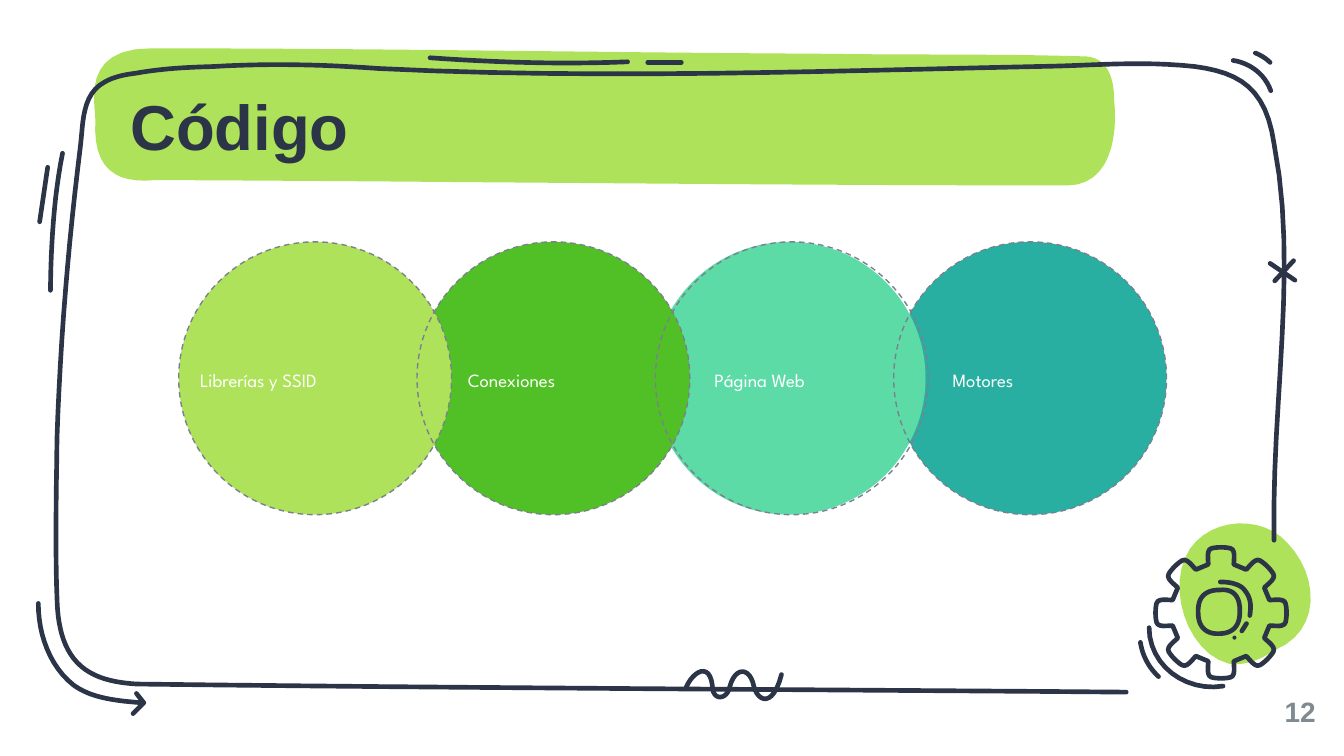
"""Build the "Código" slide: a hand-drawn frame, a gear and four linked circles."""
import math

from pptx import Presentation
from pptx import util as u
from pptx.dml.color import RGBColor
from pptx.enum import dml, shapes, text
from pptx.oxml.ns import qn

LIME = RGBColor(0xAE, 0xE2, 0x5A)
GREEN = RGBColor(0x51, 0xC0, 0x26)
MINT = RGBColor(0x5D, 0xDB, 0xA7)
TEAL = RGBColor(0x29, 0xAF, 0xA2)
INK = RGBColor(0x2B, 0x35, 0x47)
SLATE = RGBColor(0x7C, 0x7F, 0x91)
GREY = RGBColor(0x7F, 0x8B, 0x91)
WHITE = RGBColor(0xFF, 0xFF, 0xFF)

WIDTH = u.Inches(10)
HEIGHT = u.Emu(WIDTH * 9 // 16)
COLUMNS = 1000
CELL = WIDTH / COLUMNS
PAGE = (0, 0, COLUMNS, HEIGHT / CELL)
TITLE_BAR = (70, 36, 759, 102)
BLOB = (874, 389, 100, 102)
GEAR = (847, 406, 112, 107)
CHAIN = (133, 180, 735, 203)
NUMBER = (919, 513, 60, 33)

CIRCLES = [
    ("Librerías y SSID", LIME, 0, 6),
    ("Conexiones", GREEN, 0, 28),
    ("Página Web", MINT, -2, 34),
    ("Motores", TEAL, 0, 34),
]


def emu(*cells):
    """Turn grid cells into whole EMU lengths."""
    return [u.Emu(round(c * CELL)) for c in cells]


def bezier(*pts, steps=12):
    """Return points along a chain of cubic curves."""
    out = [pts[0]]
    for i in range(0, len(pts) - 1, 3):
        for n in range(1, steps + 1):
            t = n / steps
            weights = ((1 - t) ** 3, 3 * t * (1 - t) ** 2, 3 * t * t * (1 - t), t ** 3)
            out.append(tuple(sum(k * p[a] for k, p in zip(weights, pts[i:i + 4]))
                             for a in (0, 1)))
    return out


def outline(s, box, pts, close):
    """Add a freeform whose points are cells from the box's corner."""
    placed = [emu(box[0] + x, box[1] + y) for x, y in pts]
    fb = s.shapes.build_freeform(*placed[0])
    fb.add_line_segments(placed[1:], close=close)
    sp = fb.convert_to_shape()
    sp.shadow.inherit = False
    return sp


def blob(s, box, pts):
    """Add a filled lime outline."""
    sp = outline(s, box, pts, True)
    sp.fill.solid()
    sp.fill.fore_color.rgb = LIME
    sp.line.fill.background()
    return sp


def stroke(s, box, pts, close=False):
    """Draw a round-ended ink stroke, as a connector when it is straight."""
    if len(pts) == 2:
        ends = [c for x, y in pts for c in emu(box[0] + x, box[1] + y)]
        sp = s.shapes.add_connector(shapes.MSO_CONNECTOR.STRAIGHT, *ends)
        sp._element.spPr.append(sp._element.makeelement(qn("a:effectLst"), {}))
    else:
        sp = outline(s, box, pts, close)
        sp.fill.background()
    sp.line.color.rgb = INK
    sp.line.width = u.Pt(2.5)
    ln = sp.line._get_or_add_ln()
    ln.set("cap", "rnd")
    ln.append(ln.makeelement(qn("a:round"), {}))


def write(sp, words, font, size, color, bold=False, align=text.PP_ALIGN.LEFT,
          spacing=1.0, margin=0):
    """Fill a shape's text frame with one formatted paragraph."""
    tf = sp.text_frame
    tf.text = words
    tf.word_wrap = True
    tf.auto_size = text.MSO_AUTO_SIZE.NONE
    tf.vertical_anchor = text.MSO_ANCHOR.MIDDLE
    tf.margin_left = tf.margin_right = tf.margin_top = tf.margin_bottom = u.Inches(margin)
    p = tf.paragraphs[0]
    p.alignment = align
    p.line_spacing = spacing
    f = p.runs[0].font
    f.name, f.size, f.bold = font, u.Pt(size), bold
    f.color.rgb = color


def draw_backdrop(s, blob_box, bar_box):
    """Draw the lime blob and the lime bar."""
    blob(s, blob_box, bezier(
        (92, 24), (80, 0), (43, -9), (21, 10), (-4, 32), (-1, 84), (27, 100),
        (39, 105), (51, 103), (63, 99), (100, 94), (109, 54), (92, 24))).rotation = 345.3
    blob(s, bar_box, bezier(
        (759, 38), (759, 22), (754, 7), (738, 6), (671, 4), (605, 5), (538, 4),
        (365, 3), (215, 0), (42, 0), (-10, 0), (1, 41), (1, 53),
        (-1, 89), (15, 101), (46, 98), (270, 99), (500, 102), (724, 102),
        (756, 102), (762, 66), (759, 38)))


def draw_frame(s, box):
    """Draw the sketched frame and the marks around it."""
    curves = [
        [(948, 402), (946, 299), (966, 199), (948, 107), (942, 66), (923, 54), (889, 49.5),
         (848, 45), (812, 49), (772, 49.5), (609, 53), (445, 59), (282, 51),
         (241, 48), (200, 47), (159, 49.5), (140, 50), (120, 51), (101, 54.5),
         (93, 55.5), (85, 57), (78, 61), (61, 70), (62, 91), (60, 108),
         (51, 180), (45, 252), (42.5, 325), (42, 365), (41, 405), (42.5, 446),
         (43, 463), (46, 481), (57.5, 493), (69, 505), (86, 508), (102, 509),
         (347, 512), (593, 513), (838, 515)],
        [(46.5, 114), (40, 147), (38, 181), (37.5, 216)],
        [(320, 43), (369, 46.5), (418, 48), (467, 46)],
        [(917.5, 45), (930, 47), (941, 55), (945.5, 67.5)],
        [(934, 39.5), (938, 41), (942, 43.5), (945, 46.5)],
        [(28.5, 449), (28.5, 472), (37, 496), (55, 510), (69, 520), (88, 521.5), (106, 523)],
        [(510.5, 511.5), (516, 499), (528, 493), (530, 510), (530, 522), (541, 521),
         (543, 511), (547, 496), (558, 496), (561, 511), (564, 522), (575, 527), (581.5, 502)],
    ]
    lines = [
        [(35.5, 124.5), (29.5, 165)],
        [(482, 46.5), (507, 46.5)],
        [(101.5, 516), (107, 523), (99, 531)],
        [(945, 196), (963.5, 208.5)],
        [(962.5, 194), (948.5, 209)],
    ]
    for pts in [bezier(*c) for c in curves] + lines:
        stroke(s, box, pts)


def draw_gear(s, box, teeth=8):
    """Draw a gear with evenly turned teeth, its hub and its motion marks."""
    cx, cy = 61.5, 50
    tooth = bezier((36, -9.5), (40, -9.5), (47, -11), (48, -7), (49, -3), (49, 3), (48, 7),
                   (47, 11), (40, 9.5), (36, 9.5), steps=6)
    rim = []
    for k in range(teeth):
        c, d = math.cos(math.tau * k / teeth), math.sin(math.tau * k / teeth)
        rim += [(cx + r * c - t * d, cy + r * d + t * c) for r, t in tooth]
    stroke(s, box, rim, True)
    stroke(s, box, bezier(
        (60.5, 33), (70, 32), (75.5, 37), (75.5, 48), (76, 60), (70, 65.5), (60, 65.5),
        (49, 66), (44.5, 59), (44.5, 50), (44, 38), (50, 33), (60.5, 33)), True)
    for marks in (
        [(61, 27), (69, 27), (76, 29), (79, 33), (84, 39), (84, 45), (83, 52)],
        [(8, 61), (8, 89), (35, 109), (63, 104.5)],
        [(1.5, 72), (3, 82), (8, 91), (15, 97.5)],
    ):
        stroke(s, box, bezier(*marks))
    stroke(s, box, [(80.5, 58), (77, 63.5)])
    dot = add_circle(s, box[0] + 70, box[1] + 67, 3)
    dot.fill.solid()
    dot.fill.fore_color.rgb = INK
    dot.line.fill.background()


def add_circle(s, x, y, size):
    """Add a circle without a shadow."""
    sp = s.shapes.add_shape(shapes.MSO_SHAPE.OVAL, *emu(x, y, size, size))
    sp.shadow.inherit = False
    return sp


def draw_chain(s, box):
    """Draw overlapping labelled circles, the first on top, with dashed rims."""
    x, y, w, size = box
    step = (w - size) / (len(CIRCLES) - 1)
    places = [(x + i * step, *c) for i, c in enumerate(CIRCLES)][::-1]
    for left, words, color, shift, indent in places:
        sp = add_circle(s, left + shift, y, size)
        sp.fill.solid()
        sp.fill.fore_color.rgb = color
        sp.line.fill.background()
        label = s.shapes.add_textbox(*emu(left + indent, y + 73, 141, 57))
        write(label, words, "League Spartan", 10, WHITE, spacing=1.15, margin=0.1)
    for left, *_ in places:
        sp = add_circle(s, left, y, size)
        sp.fill.background()
        sp.line.color.rgb = SLATE
        sp.line.width = u.Pt(0.75)
        sp.line.dash_style = dml.MSO_LINE.DASH


def place_title(s, box, words):
    """Move the title placeholder onto the bar."""
    sp = s.shapes.title
    s.shapes._spTree.append(sp._element)
    sp.left, sp.top, sp.width, sp.height = emu(box[0] + 27, box[1] + 39, 703, 43)
    write(sp, words, "Arial", 34, INK, bold=True, spacing=0.9)


def place_number(s, box, number):
    """Write the page number."""
    write(s.shapes.add_textbox(*emu(*box)), str(number), "Arial", 15, GREY,
          bold=True, align=text.PP_ALIGN.RIGHT)


def main():
    """Build and save the presentation."""
    prs = Presentation()
    prs.slide_width, prs.slide_height = WIDTH, HEIGHT
    s = prs.slides.add_slide(prs.slide_layouts[5])
    draw_backdrop(s, BLOB, TITLE_BAR)
    draw_frame(s, PAGE)
    place_title(s, TITLE_BAR, "Código")
    place_number(s, NUMBER, 12)
    draw_gear(s, GEAR)
    draw_chain(s, CHAIN)
    prs.save("out.pptx")


if __name__ == "__main__":
    main()
